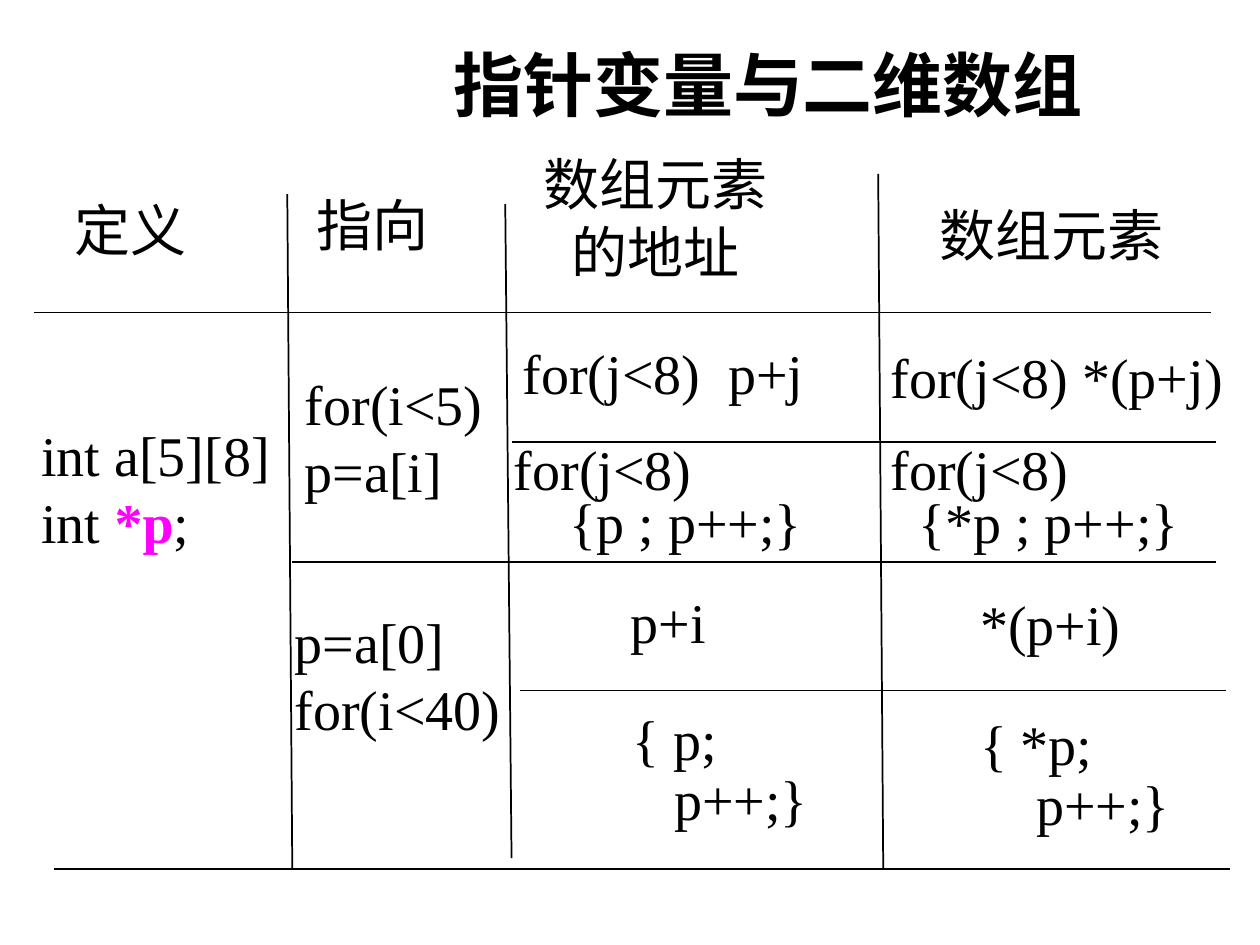
"""Build a slide that compares ways to walk a two-dimensional array by pointer."""
import pptx
import pptx.dml.color
import pptx.enum.shapes
import pptx.enum.text
import pptx.oxml.ns
import pptx.util
from lxml import etree

Inches = pptx.util.Inches
FONT = "Times New Roman"
BLACK, MAGENTA = "000000", "FF00FF"


def color(value):
    """Turn a hex string into a colour."""
    return pptx.dml.color.RGBColor.from_string(value)


def add_run(p, text, size=32, bold=False, fill=BLACK):
    """Add one styled run to a paragraph."""
    r = p.add_run()
    r.text = text
    r.font.name = FONT
    r.font.size = pptx.util.Pt(size)
    r.font.bold = bold
    r.font.color.rgb = color(fill)


def add_text(s, box, lines, size=32, bold=False, spacing=1.0, wrap=False, centered=False):
    """Add a text box; a line is a string or a list of (text, bold, colour)."""
    tf = s.shapes.add_textbox(*map(Inches, box)).text_frame
    tf.word_wrap = wrap
    tf.auto_size = pptx.enum.text.MSO_AUTO_SIZE.SHAPE_TO_FIT_TEXT
    for i, line in enumerate(lines):
        p = tf.add_paragraph() if i else tf.paragraphs[0]
        p.line_spacing = spacing
        if centered:
            p.alignment = pptx.enum.text.PP_ALIGN.CENTER
        for text, strong, fill in [(line, bold, BLACK)] if isinstance(line, str) else line:
            add_run(p, text, size, strong, fill)


def add_rule(s, x1, y1, x2, y2):
    """Draw one thin black line without a shadow."""
    line = s.shapes.add_connector(
        pptx.enum.shapes.MSO_CONNECTOR.STRAIGHT, *map(Inches, (x1, y1, x2, y2)))
    line.line.color.rgb = color(BLACK)
    line.line.width = pptx.util.Pt(1)
    etree.SubElement(line._element.spPr, pptx.oxml.ns.qn("a:effectLst"))


def add_title(s, box):
    """Place the slide title."""
    add_text(s, box, ["指针变量与二维数组"], size=40, bold=True, wrap=True)


def add_rules(s, left, top):
    """Draw the horizontal and the slightly slanted vertical rules."""
    for x1, x2, y in [(0, 9.34, 1.1), (3.79, 9.38, 2.13), (2.05, 9.38, 3.08),
                      (3.86, 9.46, 4.1), (0.16, 9.49, 5.52)]:
        add_rule(s, left + x1, top + y, left + x2, top + y)
    for x1, y1, x2, y2 in [(2.01, 0.16, 2.05, 5.51), (3.74, 0.24, 3.79, 5.43),
                           (6.7, 0, 6.74, 5.51)]:
        add_rule(s, left + x1, top + y1, left + x2, top + y2)


def add_headings(s, left, top):
    """Place the four column headings."""
    for x, y, w, h, lines in [
        (0.26, 0.36, 1.09, 0.64, ["定义"]),
        (2.18, 0.32, 1.09, 0.64, ["指向"]),
        (3.98, 0, 1.98, 1.17, ["数组元素", "的地址"]),
        (7.13, 0.4, 1.98, 0.64, ["数组元素"]),
    ]:
        add_text(s, (left + x, top + y, w, h), lines, centered=len(lines) > 1)


def add_code_cells(s, left, top):
    """Place the code of each table cell, column by column."""
    pointer = [("int ", False, BLACK), ("*p", True, MAGENTA), (";", False, BLACK)]
    for x, y, w, h, spacing, lines in [
        (0, 0.81, 2.05, 1.17, 1.0, ["int a[5][8]", pointer]),
        (2.09, 0.4, 1.65, 1.17, 1.0, ["for(i<5)", "p=a[i]"]),
        (2.01, 2.29, 1.87, 1.17, 1.0, ["p=a[0]", "for(i<40)"]),
        (3.82, 0.22, 2.47, 0.58, 0.9, ["for(j<8)  p+j"]),
        (3.75, 1.02, 2.68, 0.96, 0.8, ["for(j<8)", "    {p ; p++;}"]),
        (4.68, 2.19, 0.83, 0.58, 0.9, ["p+i"]),
        (4.69, 3.12, 1.63, 1.06, 0.9, ["{ p;", "   p++;}"]),
        (6.74, 0.25, 2.88, 0.58, 0.9, ["for(j<8) *(p+j)"]),
        (6.74, 1.02, 2.52, 0.96, 0.8, ["for(j<8)", "  {*p ; p++;}"]),
        (7.45, 2.21, 1.35, 0.58, 0.9, ["*(p+i)"]),
        (7.45, 3.16, 1.74, 1.06, 0.9, ["{ *p;", "    p++;}"]),
    ]:
        add_text(s, (left + x, top + y, w, h), lines, spacing=spacing, wrap=spacing == 0.8)


def main():
    """Build and save the slide."""
    prs = pptx.Presentation()
    prs.slide_width, prs.slide_height = Inches(10), Inches(7.5)
    s = prs.slides.add_slide(prs.slide_layouts[6])
    add_rules(s, 0.27, 1.38)
    add_title(s, (3.5, 0.28, 5.36, 0.77))
    add_headings(s, 0.23, 1.14)
    add_code_cells(s, 0.23, 2.48)
    prs.save("out.pptx")


if __name__ == "__main__":
    main()
